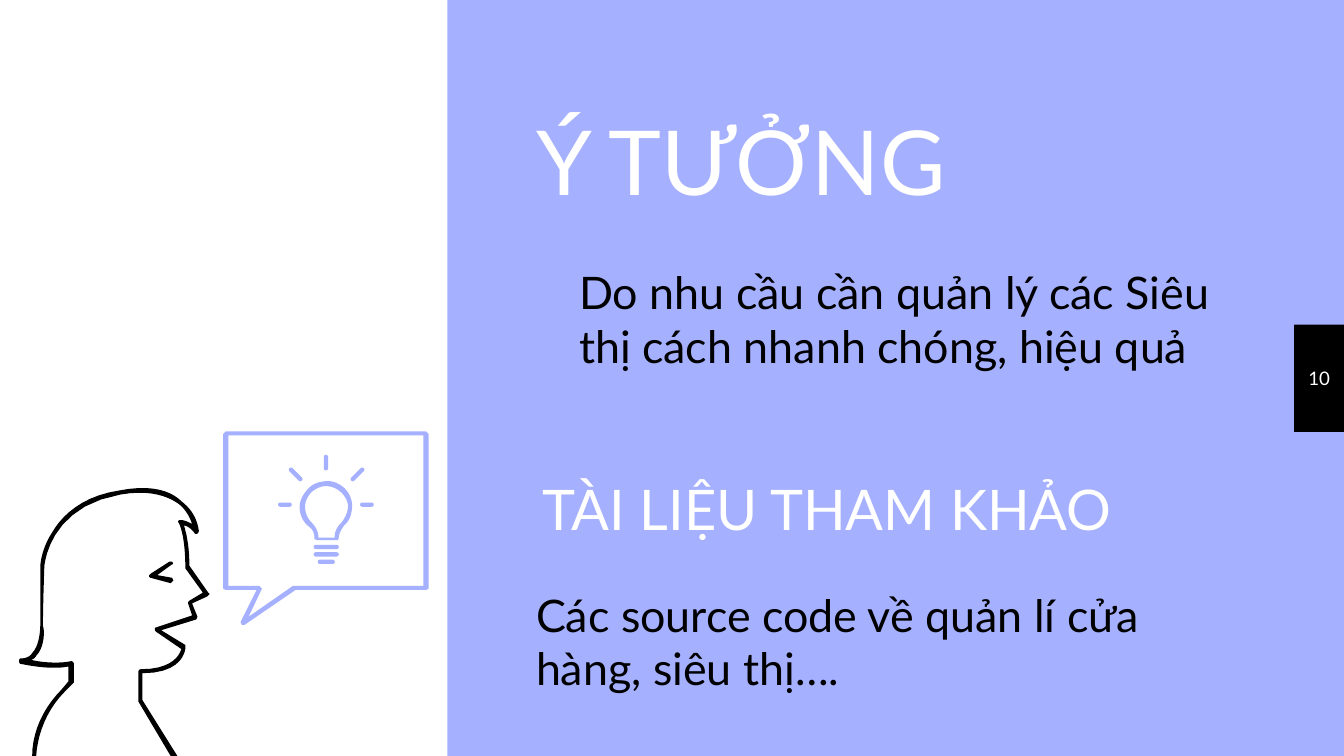
import math
from dataclasses import dataclass

from pptx import Presentation
from pptx import util as u
from pptx.dml.color import RGBColor
from pptx.enum import shapes, text

CELL = u.Inches(0.1)  # the slide is a grid of 100 columns and 56.25 rows
COLUMNS, ROWS = 100, 56.25


@dataclass(frozen=True)
class Theme:
    font: str = "Lato"
    lilac: str = "A5B0FE"
    white: str = "FFFFFF"
    black: str = "000000"
    title: int = 48
    heading: int = 30
    body: int = 24
    number: int = 10


@dataclass(frozen=True)
class Box:
    left: float
    top: float
    width: float
    height: float

    def inner(self, left, top, width, height):
        return Box(self.left + left, self.top + top, width, height)

    def emu(self):
        return [round(side * CELL) for side in (self.left, self.top, self.width, self.height)]


THEME = Theme()

# Drawing units are 1/333 of the panel width. A pair is a straight line to that
# point; six numbers are a cubic curve: two control points and an end point.
HEAD = [
    (138, 480), (138, 482), (138, 483, 137, 501, 106, 501), (106, 521), (132, 562.5),
    (127, 562.5), (103, 522), (103, 500), (103, 499, 104, 498, 105, 498),
    (130, 498, 134, 486, 135, 483), (116, 470), (115, 469, 115, 467, 116, 467),
    (143, 458), (140, 449), (140, 448), (141, 447), (151, 441), (138, 423),
    (138, 397, 133, 389, 133, 389), (132, 388, 133, 387, 134, 387),
    (138, 387, 141, 389, 143, 390), (141, 384, 138, 379, 133, 375),
    (126, 370, 113, 364, 90, 368), (36, 377, 33, 421, 33, 422),
    (33, 425, 32, 449, 32, 466), (33, 467, 34, 481, 27, 488), (26, 490, 24, 491, 23, 491),
    (31, 493, 44, 494, 53, 492), (54, 492, 55, 493, 55, 494), (55, 508), (48, 515),
    (35, 528, 28, 546, 27, 562.5), (24, 562.5), (24, 545, 32, 527, 46, 513), (51, 507),
    (51, 496), (37, 499, 16, 494, 15, 494), (14, 493, 14, 491, 15, 490),
    (19, 490, 22, 489, 24, 486), (30, 480, 30, 466, 30, 466), (30, 422),
    (30, 420, 31, 408, 39, 396), (46, 384, 61, 369, 89, 365),
    (114, 360, 128, 366, 135, 373), (143, 379, 147, 387, 148, 395),
    (148, 397, 146, 398, 145, 397), (145, 397, 142, 392, 137, 391),
    (138, 395, 141, 404, 141, 421), (155, 441), (156, 442), (154, 444), (143, 449),
    (147, 459), (146, 461), (120, 469),
]
EYE = [
    (112, 427), (126, 418), (128, 418), (129, 419, 129, 420, 128, 420), (117, 428),
    (128, 430), (129, 432), (127, 434), (112, 430), (110, 429, 111, 428, 112, 427),
]
BUBBLE = [
    [(168, 321), (317, 321), (319, 323), (319, 438), (317, 439), (220, 439), (182, 465),
     (180, 465), (179, 463), (191, 439), (168, 439), (166, 438), (166, 323)],
    [(170, 436), (193, 436), (195, 438), (185, 459), (218, 436), (315, 436),
     (315, 324), (170, 324)],
]
BULB = [
    [(256, 391), (254, 394, 252, 397, 252, 401), (251, 402), (236, 402), (234, 401),
     (234, 397, 233, 394, 230, 392), (225, 388, 223, 383, 223, 377),
     (223, 372, 226, 367, 230, 363), (234, 359, 240, 358, 245, 358),
     (254, 359, 261, 366, 262, 375), (262, 381, 261, 387, 256, 391)],
    [(259, 376), (258, 369, 252, 363, 245, 362), (240, 361, 236, 363, 232, 366),
     (229, 369, 227, 373, 227, 377), (227, 382, 229, 386, 232, 389),
     (235, 392, 237, 396, 237, 400), (249, 400), (249, 395, 251, 392, 254, 389),
     (257, 385, 259, 381, 259, 376)],
]
RAYS = [
    (242.5, 340, 242.5, 348.5), (208.5, 375.5, 215.5, 375.5), (269.5, 375.5, 276.5, 375.5),
    (262.5, 356.5, 269.5, 349.5), (223.5, 356.5, 216.5, 349.5),
]
BULB_BASE = [(235, 407, 250.5, 407), (235, 412.5, 250.5, 412.5), (238, 418, 247.5, 418)]


def rgb(value):
    return RGBColor.from_string(value)


def paint(shape, colour):
    shape.shadow.inherit = False
    shape.fill.solid()
    shape.fill.fore_color.rgb = rgb(colour)
    shape.line.fill.background()


def add_rectangle(slide, box, colour):
    paint(slide.shapes.add_shape(shapes.MSO_SHAPE.RECTANGLE, *box.emu()), colour)


def add_text(slide, box, words, *, size, colour, anchor=text.MSO_ANCHOR.TOP,
             align=text.PP_ALIGN.LEFT, indent=0):
    frame = slide.shapes.add_textbox(*box.emu()).text_frame
    frame.word_wrap = True
    frame.vertical_anchor = anchor
    frame.margin_top = frame.margin_right = frame.margin_bottom = CELL
    frame.margin_left = round((1 + indent) * CELL)
    paragraph = frame.paragraphs[0]
    paragraph.alignment = align
    run = paragraph.add_run()
    run.text = words
    run.font.name = THEME.font
    run.font.size = u.Pt(size)
    run.font.color.rgb = rgb(colour)


def flatten(contour, steps=10):
    """Turn the curves of a contour into short straight lines."""
    points = [contour[0]]
    for segment in contour[1:]:
        if len(segment) == 2:
            points.append(segment)
            continue
        knots = [points[-1], segment[:2], segment[2:4], segment[4:]]
        for step in range(1, steps + 1):
            t = step / steps
            weights = [math.comb(3, i) * t**i * (1 - t)**(3 - i) for i in range(4)]
            points.append(tuple(sum(w * knot[axis] for w, knot in zip(weights, knots))
                                for axis in (0, 1)))
    return points


def capsule(x1, y1, x2, y2, radius=1.6, steps=8):
    """Outline a bar with round ends."""
    heading = math.atan2(y2 - y1, x2 - x1)
    points = []
    for x, y, start in ((x2, y2, heading - math.pi / 2), (x1, y1, heading + math.pi / 2)):
        for step in range(steps + 1):
            angle = start + math.pi * step / steps
            points.append((x + radius * math.cos(angle), y + radius * math.sin(angle)))
    return points


def add_outline(slide, box, contours, colour):
    unit = box.width * CELL / 333
    placed = [[(round(box.left * CELL + x * unit), round(box.top * CELL + y * unit))
               for x, y in flatten(contour)] for contour in contours]
    builder = slide.shapes.build_freeform(*placed[0][0])
    for index, points in enumerate(placed):
        if index:
            builder.move_to(*points[0])
        builder.add_line_segments(points[1:], close=True)
    paint(builder.convert_to_shape(), colour)


def add_illustration(slide, box):
    add_rectangle(slide, box, THEME.white)
    for contour in (EYE, HEAD):
        add_outline(slide, box, [contour], THEME.black)
    for contours in (BUBBLE, BULB):
        add_outline(slide, box, contours, THEME.lilac)
    for bar in BULB_BASE + RAYS:
        add_outline(slide, box, [capsule(*bar)], THEME.lilac)


def add_section(slide, box, heading, body, *, size, body_left, body_top, indent=0):
    add_text(slide, box.inner(0, 0, box.width, 9.8), heading, size=size,
             colour=THEME.white, anchor=text.MSO_ANCHOR.BOTTOM)
    add_text(slide, box.inner(body_left, body_top, box.width, 5.1), body,
             size=THEME.body, colour=THEME.black, indent=indent)


def add_page_number(slide, box, number):
    add_rectangle(slide, box, THEME.black)
    add_text(slide, box, number, size=THEME.number, colour=THEME.white,
             anchor=text.MSO_ANCHOR.MIDDLE, align=text.PP_ALIGN.CENTER)


def main():
    presentation = Presentation()
    presentation.slide_width = COLUMNS * CELL
    presentation.slide_height = round(ROWS * CELL)
    slide = presentation.slides.add_slide(presentation.slide_layouts[6])
    slide.background.fill.solid()
    slide.background.fill.fore_color.rgb = rgb(THEME.lilac)

    add_illustration(slide, Box(0, 0, 33.3, ROWS))
    add_section(slide, Box(38.9, 7.1, 53.6, 16.7), "Ý TƯỞNG",
                "Do nhu cầu cần quản lý các Siêu thị cách nhanh chóng, hiệu quả",
                size=THEME.title, body_left=-0.6, body_top=11.6, indent=3.8)
    add_section(slide, Box(39.4, 31.5, 53.6, 16.3), "TÀI LIỆU THAM KHẢO",
                "Các source code về quản lí cửa hàng, siêu thị….",
                size=THEME.heading, body_left=-0.5, body_top=11.2)
    add_page_number(slide, Box(96.3, 24.15, 3.7, 8), "10")
    presentation.save("out.pptx")


if __name__ == "__main__":
    main()
